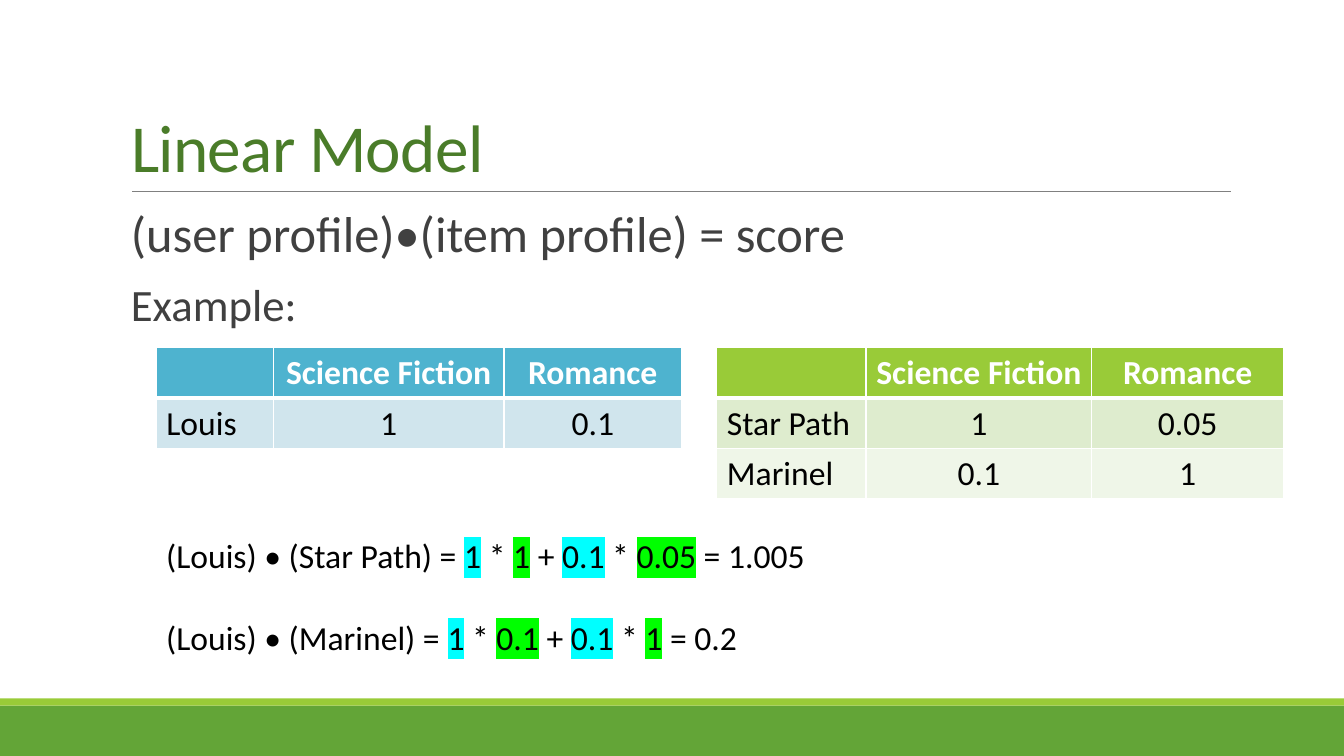
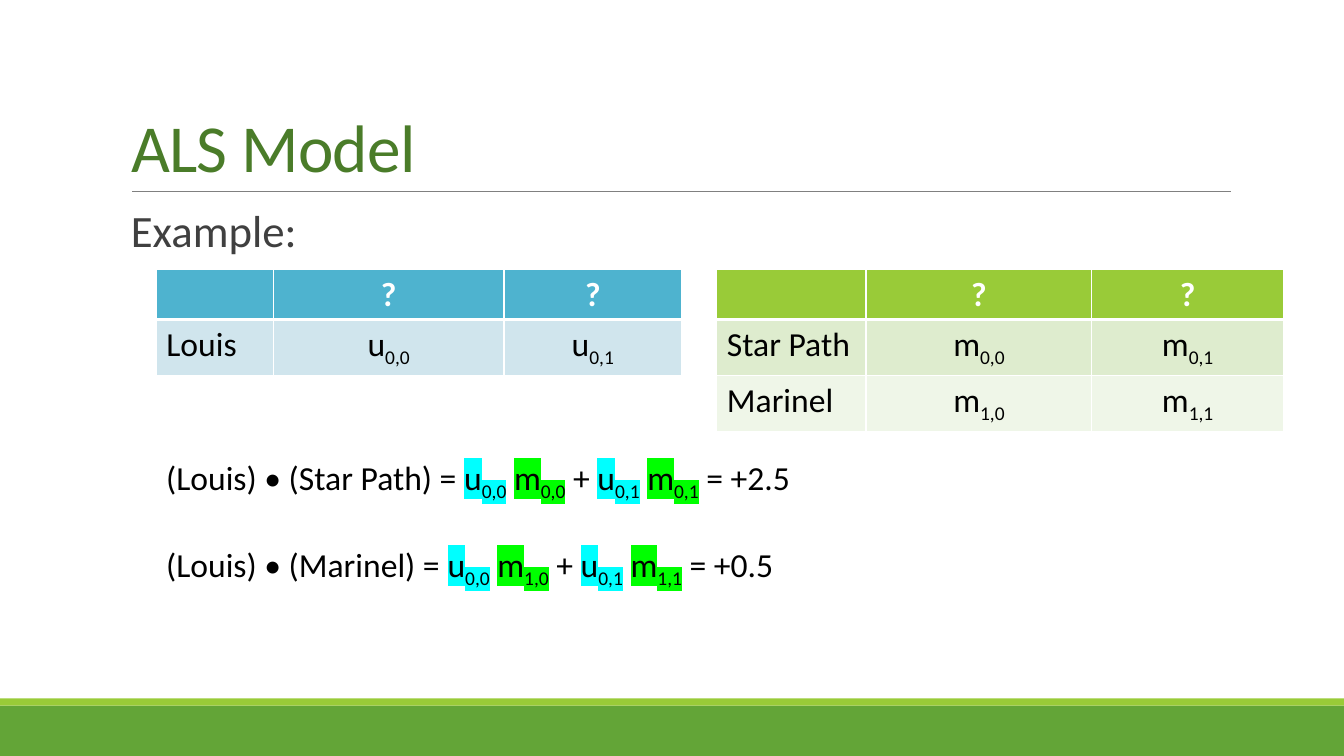
"""Build two slides that compare a linear model with an ALS model."""
import pptx
import pptx.dml.color
import pptx.enum.shapes
import pptx.enum.text
import pptx.oxml
import pptx.oxml.ns
import pptx.util
from lxml import etree

Inches = pptx.util.Inches
Pt = pptx.util.Pt
qn = pptx.oxml.ns.qn
ALIGN = pptx.enum.text.PP_ALIGN
FONT = "Calibri"
COLORS = {
    "title": "4A7C29", "body": "404040", "text": "000000", "white": "FFFFFF",
    "band": "63A537", "stripe": "99CB38", "rule": "808080",
    "user_mark": "00FFFF", "item_mark": "00FF00",
}
USER_FILLS = ["4EB3CF", "D0E5ED"]
ITEM_FILLS = ["99CB38", "DEECCE", "EFF6E8"]
USER_COLUMNS = [1.16, 2.29, 1.76]
ITEM_COLUMNS = [1.48, 2.24, 1.9]


def rgb(value):
    return pptx.dml.color.RGBColor.from_string(value)


def write(paragraph, text, size=24, color="text", bold=False, highlight=None, spacing=None):
    base, _, subscript = text.partition("_")
    for part, baseline in ((base, None), (subscript, "-25000")):
        if not part:
            continue
        run = paragraph.add_run()
        run.text = part
        run.font.size = Pt(size)
        run.font.bold = bold
        run.font.color.rgb = rgb(COLORS[color])
        properties = run._r.get_or_add_rPr()
        if highlight:
            mark = etree.SubElement(properties, qn("a:highlight"))
            etree.SubElement(mark, qn("a:srgbClr"), val=COLORS[highlight])
        if baseline:
            properties.set("baseline", baseline)
        if spacing:
            properties.set("spc", str(spacing))
        run.font.name = FONT


def set_border(cell, side, width):
    properties = cell._tc.get_or_add_tcPr()
    line = etree.SubElement(properties, qn(f"a:ln{side}"), w=str(Pt(width)))
    fill = etree.SubElement(line, qn("a:solidFill"))
    etree.SubElement(fill, qn("a:srgbClr"), val=COLORS["white"])


class Deck:
    def __init__(self):
        self.presentation = pptx.Presentation()
        self.presentation.slide_width = Inches(13.33)
        self.presentation.slide_height = Inches(7.5)
        self.slide = None

    def add_slide(self, title):
        self.slide = self.presentation.slides.add_slide(self.presentation.slide_layouts[5])
        self.add_band(7, 0.5, "band")
        self.add_band(6.93, 0.07, "stripe")
        self.add_rule()
        self.set_title(title)

    def add_band(self, top, height, color):
        shape = self.slide.shapes.add_shape(
            pptx.enum.shapes.MSO_SHAPE.RECTANGLE,
            0, Inches(top), self.presentation.slide_width, Inches(height))
        shape.shadow.inherit = False
        shape.fill.solid()
        shape.fill.fore_color.rgb = rgb(COLORS[color])
        shape.line.fill.background()

    def add_rule(self):
        connector = self.slide.shapes.add_connector(
            pptx.enum.shapes.MSO_CONNECTOR.STRAIGHT,
            Inches(1.31), Inches(1.9), Inches(12.21), Inches(1.9))
        connector.line.color.rgb = rgb(COLORS["rule"])
        connector.line.width = Pt(0.5)
        etree.SubElement(connector._element.spPr, qn("a:effectLst"))

    def set_title(self, text):
        title = self.slide.shapes.title
        title.left, title.top = Inches(1.2), Inches(0.31)
        title.width, title.height = Inches(11), Inches(1.59)
        frame = title.text_frame
        frame.auto_size = pptx.enum.text.MSO_AUTO_SIZE.NONE
        frame.vertical_anchor = pptx.enum.text.MSO_ANCHOR.BOTTOM
        paragraph = frame.paragraphs[0]
        paragraph.alignment = ALIGN.LEFT
        paragraph.line_spacing = 0.85
        write(paragraph, text, size=48, color="title", spacing=-50)

    def add_text_box(self, left, top, width, height, count):
        shape = self.slide.shapes.add_textbox(
            Inches(left), Inches(top), Inches(width), Inches(height))
        frame = shape.text_frame
        frame.word_wrap = True
        for _ in range(count - 1):
            frame.add_paragraph()
        return frame.paragraphs

    def add_body(self, lines):
        paragraphs = self.add_text_box(1.2, 2.02, 11, 4.95, len(lines))
        for paragraph, (text, size) in zip(paragraphs, lines):
            paragraph.line_spacing = 0.9
            paragraph.space_before = Pt(12)
            paragraph.space_after = Pt(2)
            write(paragraph, text, size=size, color="body")

    def add_table(self, left, top, columns, rows, fills):
        height = 0.41
        table = self.slide.shapes.add_table(
            len(rows), len(columns), Inches(left), Inches(top),
            Inches(sum(columns)), Inches(height * len(rows))).table
        for column, width in zip(table.columns, columns):
            column.width = Inches(width)
        for row_index, values in enumerate(rows):
            table.rows[row_index].height = Inches(height)
            header = row_index == 0
            for column_index, text in enumerate(values):
                cell = table.cell(row_index, column_index)
                for side in "LRTB":
                    heavy = (row_index, side) in ((0, "B"), (1, "T"))
                    set_border(cell, side, 3 if heavy else 1)
                cell.fill.solid()
                cell.fill.fore_color.rgb = rgb(fills[row_index])
                paragraph = cell.text_frame.paragraphs[0]
                paragraph.alignment = ALIGN.CENTER if column_index else ALIGN.LEFT
                write(paragraph, text, color="white" if header else "text", bold=header)

    def add_scores(self, top, user, items, operator, scores):
        paragraphs = self.add_text_box(1.55, top, 9.97, 1.31, len(items))
        user_name, *user_weights = user
        for index, (item_name, *item_weights) in enumerate(items):
            paragraph = paragraphs[index]
            paragraph.space_before = Pt(29.3 if index else 0)
            joint = f"({user_name}) • ({item_name}) = "
            for user_weight, item_weight in zip(user_weights, item_weights):
                write(paragraph, joint)
                write(paragraph, user_weight, highlight="user_mark")
                write(paragraph, operator)
                write(paragraph, item_weight, highlight="item_mark")
                joint = " + "
            write(paragraph, f" = {scores[index]}")

    def add_example(self, top, features, user, items, operator, scores):
        header = ["", *features]
        self.add_table(7.11, top, ITEM_COLUMNS, [header, *items], ITEM_FILLS)
        self.add_table(1.55, top, USER_COLUMNS, [header, user], USER_FILLS)
        self.add_scores(top + 1.81, user, items, operator, scores)


def main():
    deck = Deck()
    example = ("Example:", 32)
    deck.add_slide("Linear Model")
    deck.add_body([("(user profile)•(item profile) = score", 36), example])
    deck.add_example(
        3.45, ["Science Fiction", "Romance"], ["Louis", "1", "0.1"],
        [["Star Path", "1", "0.05"], ["Marinel", "0.1", "1"]],
        " * ", ["1.005", "0.2"])
    deck.add_slide("ALS Model")
    deck.add_body([example])
    deck.add_example(
        2.67, ["?", "?"], ["Louis", "u_0,0", "u_0,1"],
        [["Star Path", "m_0,0", "m_0,1"], ["Marinel", "m_1,0", "m_1,1"]],
        " ", ["+2.5", "+0.5"])
    deck.presentation.save("out.pptx")


if __name__ == "__main__":
    main()
